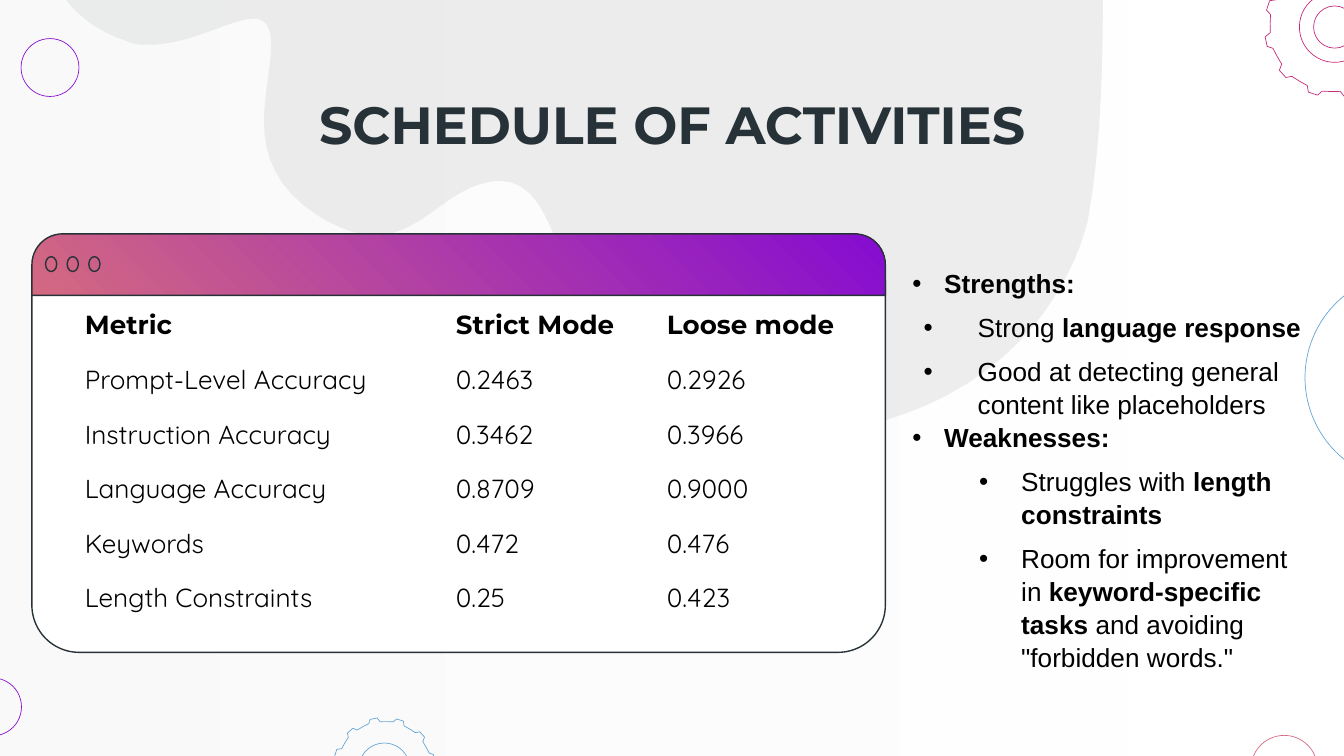
from math import cos, radians, sin
from typing import NamedTuple

from lxml.etree import SubElement
from pptx import Presentation
from pptx.dml.color import RGBColor
from pptx.enum.shapes import MSO_SHAPE as SHAPE
from pptx.enum.text import MSO_ANCHOR as ANCHOR, PP_ALIGN as ALIGN
from pptx.oxml.ns import qn
from pptx.util import Pt

COLORS = {
    "white": "FFFFFF", "mist": "F3F3F3", "blob": "D6D7D7", "ink": "263238", "black": "000000",
    "pink": "D36980", "purple": "860CD1", "blue": "63A4D5", "crimson": "C52878",
}
HAIRLINE = 0.36
OUTLINE = 0.75


class Circle(NamedTuple):
    x: float
    y: float
    radius: float
    color: str


class Gear(NamedTuple):
    x: float
    y: float
    radius: float
    color: str
    rings: tuple


class Bullet(NamedTuple):
    runs: tuple
    left: float = 17
    hang: float = 17
    before: float = 0


CIRCLES = [
    Circle(688, 411.8, 17.8, "pink"), Circle(-4, 378.7, 15.5, "purple"),
    Circle(755.3, 202.3, 56.2, "blue"), Circle(26.8, 36.2, 15.5, "purple"),
]
GEARS = [
    Gear(715, 14.5, 37.6, "crimson", (18.9, 11.3)),
    Gear(205.9, 411.8, 27.4, "blue", (13.7,)),
]
BLOB_START = (422, 233)
BLOB_CURVES = [
    [(384, 233), (350, 220), (331, 199)], [(299, 162), (301, 97), (268, 97)],
    [(268, 97), (267, 97), (266, 97)], [(240, 99), (227, 126), (201, 126)],
    [(192, 126), (183, 123), (171, 116)], [(124, 86), (148, 45), (145, 19)],
    [(144, 12), (140, 10), (136, 10)], [(124, 10), (102, 24), (80, 24)],
    [(76, 24), (72, 24), (68, 22)], [(35, 12), (20, -19), (24, -37)],
    [(27, -54), (12, -77), (12, -77)], [(12, -77), (588, -77), (588, -77)],
    [(588, -77), (597, 40), (583, 117)], [(583, 117), (572, 178), (507, 212)],
    [(480, 226), (449, 233), (422, 233)],
]
METRICS = [
    ("Metric", "Strict Mode", "Loose mode"),
    ("Prompt-Level Accuracy", "0.2463", "0.2926"),
    ("Instruction Accuracy", "0.3462", "0.3966"),
    ("Language Accuracy", "0.8709", "0.9000"),
    ("Keywords", "0.472", "0.476"),
    ("Length Constraints", "0.25", "0.423"),
]
STRENGTH = (35, 29, 6)
WEAKNESS = (58.3, 22.5, 6)
BULLETS = [
    Bullet((("Strengths:", True),)),
    Bullet((("Strong ", False), ("language response", True)), *STRENGTH),
    Bullet((("Good at detecting general content like placeholders", False),), *STRENGTH),
    Bullet((("Weaknesses:", True),)),
    Bullet((("Struggles with ", False), ("length constraints", True)), *WEAKNESS),
    Bullet((("Room for improvement in ", False), ("keyword-specific tasks", True),
            (' and avoiding "forbidden words."', False)), *WEAKNESS),
]


def rgb(name: str) -> RGBColor:
    """Return the named colour."""
    return RGBColor.from_string(COLORS[name])


def style(s, fill: str = "", line: str = "", width: float = OUTLINE) -> None:
    """Set a solid or empty fill and line, without shadow."""
    s.shadow.inherit = False
    if fill:
        s.fill.solid()
        s.fill.fore_color.rgb = rgb(fill)
    else:
        s.fill.background()
    if line:
        s.line.color.rgb = rgb(line)
        s.line.width = Pt(width)
    else:
        s.line.fill.background()


def blend(s, start: str, end: str, angle: float) -> None:
    """Fill a shape with a two-colour linear gradient."""
    s.fill.gradient()
    s.fill.gradient_angle = angle
    for stop, name, position in zip(s.fill.gradient_stops, (start, end), (0, 1)):
        stop.color.rgb = rgb(name)
        stop.position = position


def fade(s, percent: int) -> None:
    """Make the fill colours of a shape translucent."""
    for color in s.element.spPr.iter(qn("a:srgbClr")):
        SubElement(color, qn("a:alpha"), val=str(percent * 1000))


def add_box(shapes, kind, x: float, y: float, w: float, h: float):
    """Add a preset shape measured in points."""
    return shapes.add_shape(kind, Pt(x), Pt(y), Pt(w), Pt(h))


def add_outline(shapes, points: list):
    """Add a closed freeform through the given points."""
    points = [(Pt(x), Pt(y)) for x, y in points]
    builder = shapes.build_freeform(*points[0])
    builder.add_line_segments(points[1:], close=True)
    return builder.convert_to_shape()


def add_circle(shapes, c: Circle) -> None:
    """Draw a hairline circle."""
    s = add_box(shapes, SHAPE.OVAL, c.x - c.radius, c.y - c.radius, 2 * c.radius, 2 * c.radius)
    style(s, line=c.color, width=HAIRLINE)


def add_gear(shapes, g: Gear) -> None:
    """Draw a twelve-toothed gear with its inner rings."""
    profile = [(5, 0.92), (8, 1), (16, 1), (19, 0.93), (27, 0.92)]
    points = []
    for tooth in range(12):
        for angle, reach in profile:
            a = radians(-angle - 30 * tooth)
            points.append((g.x + g.radius * reach * cos(a), g.y + g.radius * reach * sin(a)))
    style(add_outline(shapes, points), line=g.color, width=HAIRLINE)
    for radius in g.rings:
        add_circle(shapes, Circle(g.x, g.y, radius, g.color))


def add_blob(shapes) -> None:
    """Draw the translucent backdrop from cubic curves."""
    points = [BLOB_START]
    for p1, p2, p3 in BLOB_CURVES:
        p0 = points[-1]
        for t in (i / 16 for i in range(1, 17)):
            weights = ((1 - t) ** 3, 3 * t * (1 - t) ** 2, 3 * t * t * (1 - t), t ** 3)
            points.append(tuple(sum(w * p[k] for w, p in zip(weights, (p0, p1, p2, p3)))
                                for k in (0, 1)))
    s = add_outline(shapes, points)
    style(s, "blob")
    fade(s, 41)


def add_window(shapes) -> None:
    """Draw the rounded window with its title bar."""
    panel = add_box(shapes, SHAPE.ROUNDED_RECTANGLE, 17.1, 125.3, 457.2, 224.2)
    panel.adjustments[0] = 0.113
    style(panel, "white", "ink")
    bar = add_box(shapes, SHAPE.ROUND_2_SAME_RECTANGLE, 17.1, 125.3, 457.2, 33)
    bar.adjustments[0], bar.adjustments[1] = 0.5, 0
    style(bar, line="ink")
    blend(bar, "pink", "purple", 45)
    for i in range(3):
        style(add_box(shapes, SHAPE.OVAL, 24.4 + 11.6 * i, 137.5, 6, 8), line="ink")


def set_font(font, name: str, size: float, color: str, bold: bool) -> None:
    """Set the look of a font."""
    font.name, font.size, font.bold = name, Pt(size), bold
    font.color.rgb = rgb(color)


def add_title(shapes) -> None:
    """Write the slide heading."""
    tf = shapes.add_textbox(Pt(56.2), Pt(51.8), Pt(607.6), Pt(28.8)).text_frame
    tf.word_wrap = True
    tf.vertical_anchor = ANCHOR.MIDDLE
    tf.margin_top = tf.margin_bottom = Pt(7.2)
    p = tf.paragraphs[0]
    p.text = "SCHEDULE OF ACTIVITIES"
    p.alignment = ALIGN.CENTER
    set_font(p.runs[0].font, "Montserrat", 28, "ink", True)


def add_metrics(shapes) -> None:
    """Fill the table of metrics."""
    frame = shapes.add_table(len(METRICS), 3, Pt(38.2), Pt(162), Pt(425), Pt(175.2))
    table = frame.table
    table.first_row = table.horz_banding = False
    for column, width in zip(table.columns, (198.8, 113.1, 113.1)):
        column.width = Pt(width)
    for i, row in enumerate(METRICS):
        for j, text in enumerate(row):
            cell = table.cell(i, j)
            cell.fill.background()
            cell.text_frame.text = text
            name = "Quicksand" if i else "Montserrat"
            set_font(cell.text_frame.paragraphs[0].runs[0].font, name, 14, "black", i == 0)


def add_findings(shapes) -> None:
    """Write the bulleted strengths and weaknesses."""
    tf = shapes.add_textbox(Pt(481.7), Pt(139), Pt(226.8), Pt(218.2)).text_frame
    tf.word_wrap = True
    for i, b in enumerate(BULLETS):
        p = tf.add_paragraph() if i else tf.paragraphs[0]
        pPr = p._p.get_or_add_pPr()
        pPr.set("marL", str(Pt(b.left)))
        pPr.set("indent", str(-Pt(b.hang)))
        SubElement(pPr, qn("a:buFont"), typeface="Arial")
        SubElement(pPr, qn("a:buChar"), char="•")
        p.line_spacing = 1.05
        p.space_before = Pt(b.before)
        for text, bold in b.runs:
            r = p.add_run()
            r.text = text
            set_font(r.font, "Arial", 14, "black", bold)


def main() -> None:
    """Build and save the slide."""
    prs = Presentation()
    prs.slide_width, prs.slide_height = Pt(720), Pt(405)
    shapes = prs.slides.add_slide(prs.slide_layouts[6]).shapes
    wash = add_box(shapes, SHAPE.RECTANGLE, -5, -5, 730, 415)
    style(wash)
    blend(wash, "white", "mist", 180)
    fade(wash, 41)
    add_blob(shapes)
    for c in CIRCLES:
        add_circle(shapes, c)
    for g in GEARS:
        add_gear(shapes, g)
    add_window(shapes)
    add_title(shapes)
    add_metrics(shapes)
    add_findings(shapes)
    prs.save("out.pptx")


if __name__ == "__main__":
    main()
